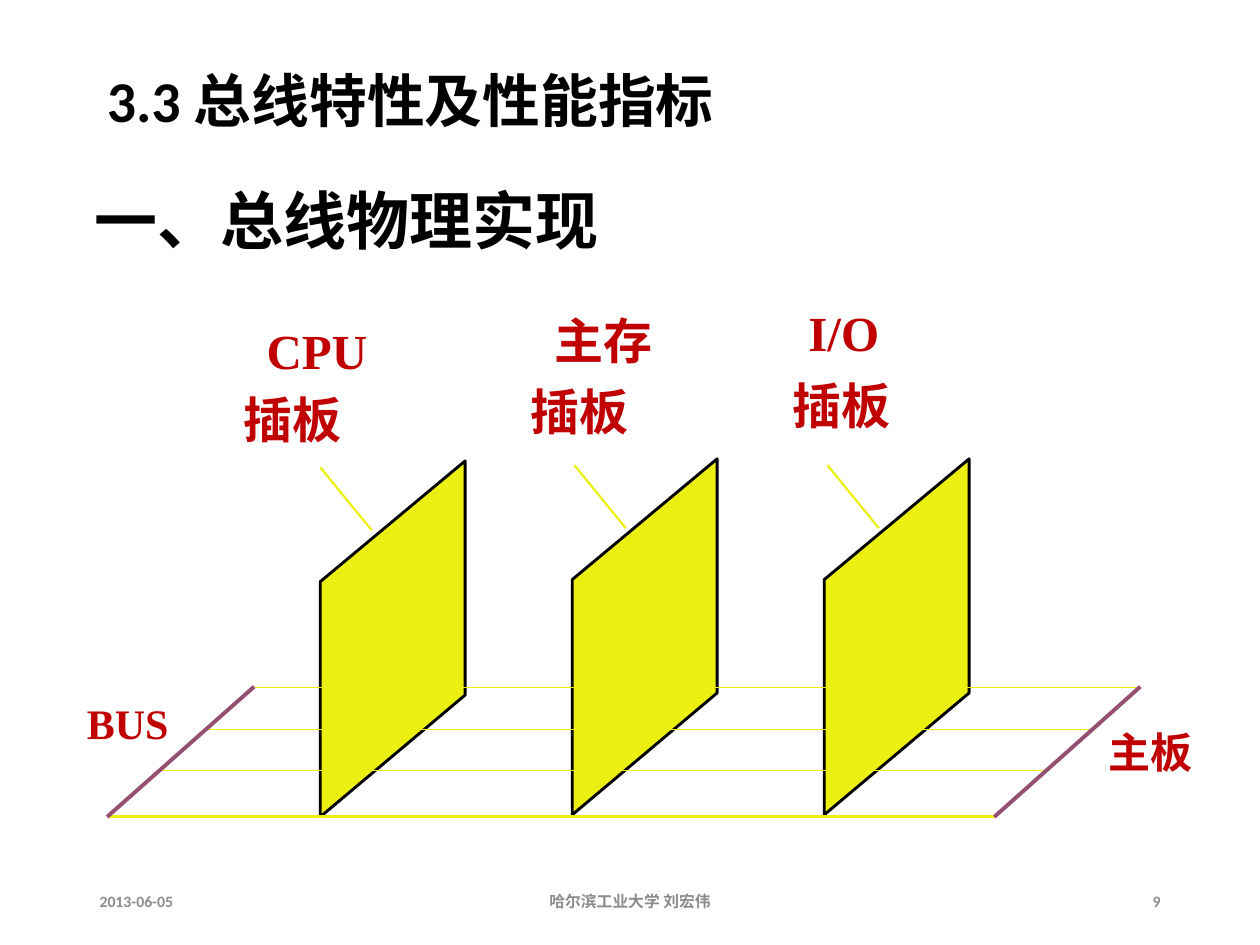
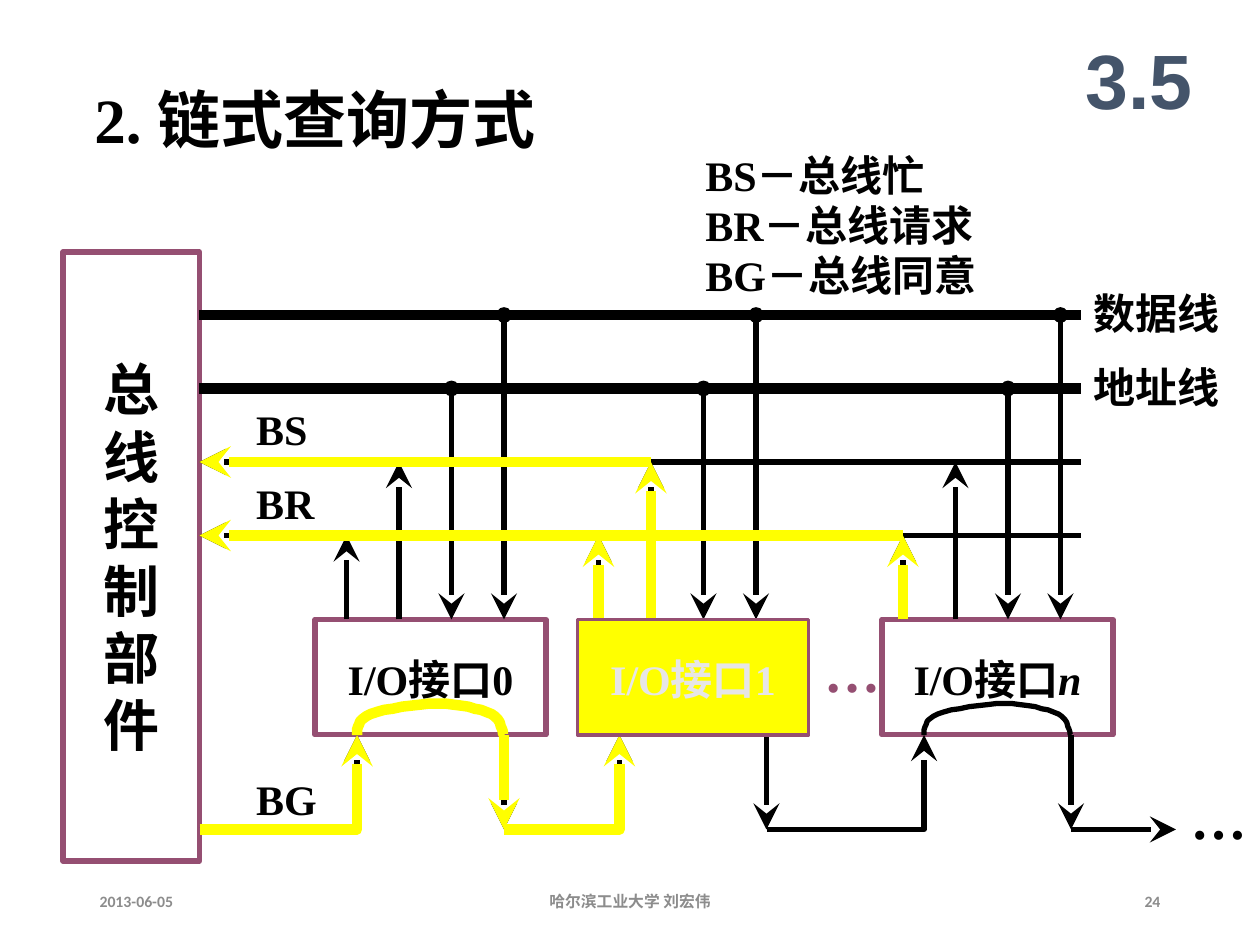
from dataclasses import dataclass

import lxml.etree
import pptx
import pptx.dml.color
import pptx.enum.shapes
import pptx.enum.text
import pptx.oxml.ns
import pptx.util

PX = 7620
BLACK, YELLOW, LEMON = "000000", "FFFF00", "EBF010"
PLUM, RED, GREY, SLATE, PALE = "954F72", "C00000", "8C8C8C", "44546A", "E7E6E6"
SERIF, SANS, HAN = "Times New Roman", "Calibri", "Noto Sans CJK SC"
LATIN_LINE, HAN_LINE = 1.2, 1.28
LEFT, CENTER, RIGHT = (pptx.enum.text.PP_ALIGN.LEFT, pptx.enum.text.PP_ALIGN.CENTER,
                       pptx.enum.text.PP_ALIGN.RIGHT)
Point = tuple[int, int]


@dataclass(frozen=True)
class Label:
    lines: tuple[str, ...]
    x: int
    y: int
    w: int
    h: int
    size: int = 24
    color: str = BLACK
    font: str = SERIF
    align: int = LEFT
    middle: bool = False
    inset: bool = True
    line: float = LATIN_LINE
    italic_end: str = ""


@dataclass(frozen=True)
class Stroke:
    start: Point
    end: Point
    color: str = BLACK
    width: float = 3
    head: str = ""
    tail: str = ""


@dataclass(frozen=True)
class Board:
    name: str
    name_at: Point
    card_at: Point
    corner: Point
    lead: Point


@dataclass(frozen=True)
class Interface:
    box_x: int
    port_x: int
    number: str = ""
    italic: str = ""


def px(length: int) -> int:
    return length * PX


def rgb(value: str) -> pptx.dml.color.RGBColor:
    return pptx.dml.color.RGBColor.from_string(value)


def add_child(parent, tag: str, **attributes: str) -> None:
    child = lxml.etree.SubElement(parent, pptx.oxml.ns.qn(tag))
    for key, value in attributes.items():
        child.set(key, value)


def style_line(line, color: str, width: float, head: str = "", tail: str = "") -> None:
    line.color.rgb = rgb(color)
    line.width = pptx.util.Pt(width)
    ln = line._get_or_add_ln()
    for tag, kind in (("a:headEnd", head), ("a:tailEnd", tail)):
        if kind:
            size = "lg" if kind == "stealth" and color == BLACK else "med"
            add_child(ln, tag, type=kind, w=size, len=size)


def write(frame, label: Label) -> None:
    frame.word_wrap = True
    frame.vertical_anchor = (pptx.enum.text.MSO_ANCHOR.MIDDLE if label.middle
                             else pptx.enum.text.MSO_ANCHOR.TOP)
    if not label.inset:
        frame.margin_left = frame.margin_right = frame.margin_top = frame.margin_bottom = 0
    for index, words in enumerate(label.lines):
        paragraph = frame.paragraphs[0] if index == 0 else frame.add_paragraph()
        paragraph.alignment = label.align
        paragraph.line_spacing = pptx.util.Pt(label.size * label.line)
        for part, italic in ((words, False), (label.italic_end, True)):
            if not part:
                continue
            run = paragraph.add_run()
            run.text = part
            run.font.name = label.font
            run.font.size = pptx.util.Pt(label.size)
            run.font.bold = True
            run.font.italic = italic
            run.font.color.rgb = rgb(label.color)
            add_child(run._r.get_or_add_rPr(), "a:ea", typeface=HAN)


def draw_label(slide, label: Label) -> None:
    box = slide.shapes.add_textbox(px(label.x), px(label.y), px(label.w), px(label.h))
    write(box.text_frame, label)


def draw_box(slide, label: Label, fill: str = "", width: float = 3) -> None:
    box = slide.shapes.add_shape(pptx.enum.shapes.MSO_SHAPE.RECTANGLE, px(label.x),
                                 px(label.y), px(label.w), px(label.h))
    box.shadow.inherit = False
    if fill:
        box.fill.solid()
        box.fill.fore_color.rgb = rgb(fill)
    else:
        box.fill.background()
    style_line(box.line, PLUM, width)
    write(box.text_frame, label)


def draw_stroke(slide, stroke: Stroke) -> None:
    connector = slide.shapes.add_connector(
        pptx.enum.shapes.MSO_CONNECTOR.STRAIGHT, *map(px, stroke.start + stroke.end))
    style_line(connector.line, stroke.color, stroke.width, stroke.head, stroke.tail)
    add_child(connector._element.spPr, "a:effectLst")


def draw_path(slide, points: list[Point], color: str, width: float,
              fill: str = "", tail: str = "") -> None:
    builder = slide.shapes.build_freeform(*points[0], scale=PX)
    builder.add_line_segments(points[1:], close=bool(fill))
    outline = builder.convert_to_shape()
    outline.shadow.inherit = False
    if fill:
        outline.fill.solid()
        outline.fill.fore_color.rgb = rgb(fill)
    else:
        outline.fill.background()
    style_line(outline.line, color, width, tail=tail)


def draw_footer(slide, page: str) -> None:
    for words, x, w, align in (("2013-06-05", 83, 270, LEFT),
                               ("哈尔滨工业大学 刘宏伟", 397, 406, CENTER),
                               (page, 847, 270, RIGHT)):
        draw_label(slide, Label((words,), x, 834, w, 48, 9, GREY, SANS, align, True))


BOARDS = (
    Board("CPU", (254, 305), (232, 367), (305, 439), (305, 445)),
    Board("主存", (528, 292), (505, 360), (545, 437), (547, 443)),
    Board("I/O", (770, 288), (755, 354), (785, 437), (788, 443)),
)
BUS_WIRES = (
    Stroke((104, 778), (948, 778), LEMON, 1.63),
    Stroke((240, 655), (1087, 655), LEMON, 0.75),
    Stroke((197, 695), (1042, 695), LEMON, 0.75),
    Stroke((152, 734), (996, 734), LEMON, 0.75),
    Stroke((242, 654), (102, 778), PLUM, 2.25),
    Stroke((1086, 654), (947, 778), PLUM, 2.25),
)


def build_bus_boards(slide) -> None:
    draw_label(slide, Label(("3.3 总线特性及性能指标",), 90, 20, 1020, 150, 33,
                            font=SANS, middle=True))
    draw_label(slide, Label(("一、总线物理实现",), 78, 162, 540, 84, 36, line=HAN_LINE))
    for board in BOARDS:
        x, y = board.corner
        corners = [(x, y + 115), (x + 138, y), (x + 138, y + 223), (x, y + 339)]
        draw_path(slide, corners, BLACK, 1.63, LEMON)
        name_line = LATIN_LINE if board.name.isascii() else HAN_LINE
        draw_label(slide, Label((board.name,), *board.name_at, 110, 56, 28, RED,
                                inset=False, line=name_line))
        draw_label(slide, Label(("插板",), *board.card_at, 110, 56, 28, RED, HAN,
                                inset=False, line=HAN_LINE))
        lead_x, lead_y = board.lead
        draw_stroke(slide, Stroke(board.lead, (lead_x + 49, lead_y + 60), LEMON, 1.25))
    for wire in BUS_WIRES:
        draw_stroke(slide, wire)
    draw_label(slide, Label(("BUS",), 71, 658, 110, 60, color=RED))
    draw_label(slide, Label(("主板",), 1044, 683, 115, 60, color=RED, line=HAN_LINE))
    draw_footer(slide, "9")


BUS_LEFT, BUS_RIGHT = 190, 1030
DATA_Y, ADDRESS_Y, BUSY_Y, REQUEST_Y = 300, 370, 440, 510
BOX_TOP, BOX_BOTTOM, GRANT_Y = 590, 700, 790
PORT_STEP, ARC_SPAN = 50, 140
INTERFACES = (Interface(300, 330, "0"), Interface(550, 570, "1"),
              Interface(840, 860, "", "n"))
ARC_CONTROLS = ((0, 0), (0, -7), (0, -14), (13, -20), (26, -25), (58, -30), (77, -30),
                (96, -30), (117, -25), (128, -20), (138, -14), (138, -2), (140, 0))
CHAIN_LABELS = (
    Label(("2. 链式查询方式",), 78, 66, 578, 84, 36, line=HAN_LINE),
    Label(("3.5",), 1010, 20, 150, 110, 44, SLATE, "Arial", CENTER, True),
    Label(("BS－总线忙", "BR－总线请求", "BG－总线同意"), 660, 136, 356, 152),
    Label(("数据线",), 1030, 265, 155, 60, line=HAN_LINE),
    Label(("地址线",), 1030, 335, 155, 60, line=HAN_LINE),
    Label(("BS",), 232, 378, 90, 60),
    Label(("BR",), 232, 449, 90, 60),
    Label(("BG",), 232, 731, 90, 60),
    Label(("…",), 773, 600, 78, 76, 32, PLUM),
    Label(("…",), 1122, 740, 78, 76, 32),
)


def arc_points(left: int) -> list[Point]:
    points = [(left, BOX_BOTTOM)]
    for first in range(0, len(ARC_CONTROLS) - 1, 3):
        curve = ARC_CONTROLS[first:first + 4]
        for step in range(1, 9):
            t = step / 8
            weights = ((1 - t) ** 3, 3 * t * (1 - t) ** 2, 3 * t * t * (1 - t), t ** 3)
            dx, dy = (sum(w * p[axis] for w, p in zip(weights, curve)) for axis in (0, 1))
            points.append((left + dx, BOX_BOTTOM + dy))
    return points


def interface_label(interface: Interface, color: str = BLACK) -> Label:
    return Label(("I/O接口" + interface.number,), interface.box_x, BOX_TOP, 220,
                 BOX_BOTTOM - BOX_TOP, 24, color, align=CENTER, middle=True,
                 inset=False, line=HAN_LINE, italic_end=interface.italic)


def draw_ports(slide, interface: Interface) -> None:
    request, busy, address, data = (interface.port_x + PORT_STEP * i for i in range(4))
    for x, y in ((request, REQUEST_Y), (busy, BUSY_Y)):
        draw_stroke(slide, Stroke((x, BOX_TOP), (x, y), tail="stealth"))
    for x, y in ((address, ADDRESS_Y), (data, DATA_Y)):
        draw_stroke(slide, Stroke((x, y), (x, BOX_TOP), head="oval", tail="stealth"))


def draw_grant(slide, start: int, end: int, color: str = BLACK, width: float = 3) -> None:
    rise = [(start, GRANT_Y), (end, GRANT_Y), (end, BOX_BOTTOM)]
    draw_path(slide, rise, color, width, tail="stealth")


def draw_drop(slide, x: int, color: str = BLACK, width: float = 3) -> None:
    draw_stroke(slide, Stroke((x, BOX_BOTTOM), (x, GRANT_Y), color, width, tail="stealth"))


def build_chain_query(slide) -> None:
    first, selected, last = INTERFACES
    draw_box(slide, Label(tuple("总线控制部件"), 60, 240, 130, 580, 32,
                          align=CENTER, middle=True))
    for y, width, head in ((DATA_Y, 6, ""), (ADDRESS_Y, 6, ""),
                           (BUSY_Y, 3, "stealth"), (REQUEST_Y, 3, "stealth")):
        draw_stroke(slide, Stroke((BUS_LEFT, y), (BUS_RIGHT, y), width=width, head=head))
    for interface in (first, last):
        draw_box(slide, interface_label(interface))
    for interface in INTERFACES:
        draw_ports(slide, interface)

    first_in, selected_in, selected_out, last_in = 340, 590, 730, 880
    first_out, last_out = first_in + ARC_SPAN, last_in + ARC_SPAN
    granted = ((BUS_LEFT, first_in), (first_out, selected_in))
    for start, end in granted + ((selected_out, last_in),):
        draw_grant(slide, start, end)
    for x in (first_out, selected_out, last_out):
        draw_drop(slide, x)
    draw_path(slide, arc_points(last_in), BLACK, 3)
    draw_stroke(slide, Stroke((last_out, GRANT_Y), (1120, GRANT_Y), tail="stealth"))
    for label in CHAIN_LABELS:
        draw_label(slide, label)

    busy_x = selected.port_x + PORT_STEP
    for start, end in (((busy_x, BUSY_Y), (BUS_LEFT, BUSY_Y)),
                       ((last.port_x, REQUEST_Y), (BUS_LEFT, REQUEST_Y)),
                       ((selected.port_x, BOX_TOP), (selected.port_x, REQUEST_Y)),
                       ((last.port_x, BOX_TOP), (last.port_x, REQUEST_Y)),
                       ((busy_x, BOX_TOP), (busy_x, BUSY_Y))):
        draw_stroke(slide, Stroke(start, end, YELLOW, 6, tail="stealth"))
    for start, end in granted:
        draw_grant(slide, start, end, YELLOW, 6)
    draw_path(slide, arc_points(first_in), YELLOW, 6)
    draw_drop(slide, first_out, YELLOW, 6)
    draw_box(slide, interface_label(selected, PALE), YELLOW, 2)
    draw_footer(slide, "24")


def main() -> None:
    deck = pptx.Presentation()
    deck.slide_width, deck.slide_height = px(1200), px(900)
    for build in (build_bus_boards, build_chain_query):
        build(deck.slides.add_slide(deck.slide_layouts[6]))
    deck.save("out.pptx")


if __name__ == "__main__":
    main()
